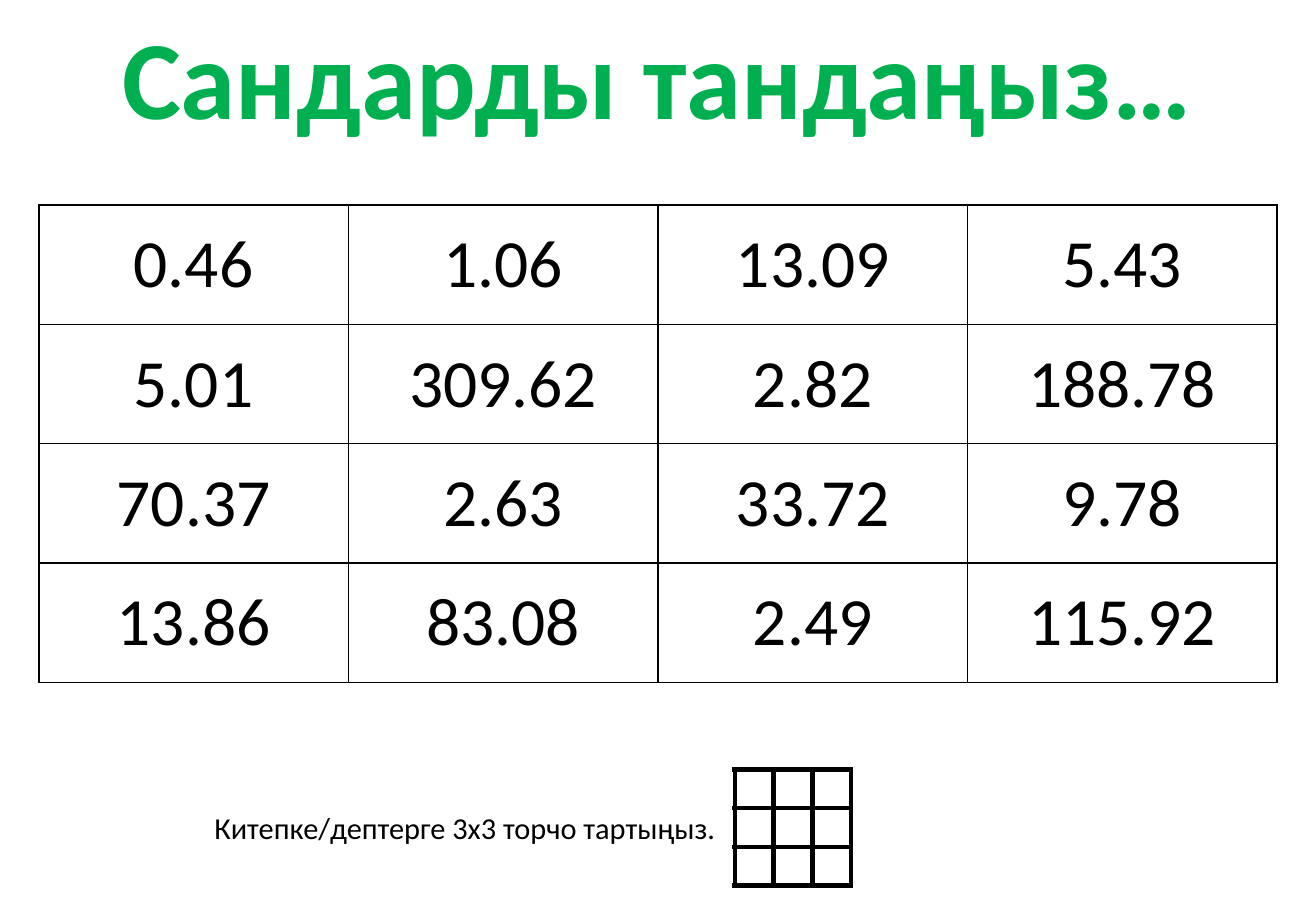
from lxml import etree
from pptx import Presentation
from pptx import util as u
from pptx.dml.color import RGBColor
from pptx.enum import text
from pptx.oxml import ns

FONT = "Calibri"
BLACK = RGBColor(0x00, 0x00, 0x00)
WHITE = RGBColor(0xFF, 0xFF, 0xFF)
GREEN = RGBColor(0x00, 0xB0, 0x50)

NUMBERS = [
    ["0.46", "1.06", "13.09", "5.43"],
    ["5.01", "309.62", "2.82", "188.78"],
    ["70.37", "2.63", "33.72", "9.78"],
    ["13.86", "83.08", "2.49", "115.92"],
]
EMPTY_GRID = [[""] * 3 for _ in range(3)]


def make_line(tag, width):
    line = etree.Element(ns.qn(tag), w=str(u.Pt(width)))
    fill = etree.SubElement(line, ns.qn("a:solidFill"))
    etree.SubElement(fill, ns.qn("a:srgbClr"), val=str(BLACK))
    return line


def style_paragraph(para, size, color, align, bold=False):
    para.alignment = align
    para.font.name = FONT
    para.font.size = u.Pt(size)
    para.font.bold = bold
    para.font.color.rgb = color


def add_grid(page, box, values, size, border):
    left, top, width, height = box
    rows, columns = len(values), len(values[0])
    frame = page.shapes.add_table(rows, columns, *map(u.Pt, box))
    table = frame.table
    table.first_row = table.horz_banding = False
    for column in table.columns:
        column.width = u.Pt(width / columns)
    for row, row_values in zip(table.rows, values):
        row.height = u.Pt(height / rows)
        for cell, value in zip(row.cells, row_values):
            cell.margin_left = cell.margin_right = 0
            cell.margin_top = cell.margin_bottom = 0
            cell.vertical_anchor = text.MSO_ANCHOR.MIDDLE
            cell.fill.solid()
            cell.fill.fore_color.rgb = WHITE
            properties = cell._tc.get_or_add_tcPr()
            for index, tag in enumerate(("a:lnL", "a:lnR", "a:lnT", "a:lnB")):
                properties.insert(index, make_line(tag, border))
            cell.text = value
            style_paragraph(cell.text_frame.paragraphs[0], size, BLACK, text.PP_ALIGN.CENTER)


def add_label(page, box, words, size, color, align, bold=False):
    frame = page.shapes.add_textbox(*map(u.Pt, box)).text_frame
    frame.word_wrap = False
    frame.auto_size = text.MSO_AUTO_SIZE.SHAPE_TO_FIT_TEXT
    para = frame.paragraphs[0]
    span = para.add_run()
    span.text = words
    style_paragraph(para, size, color, align, bold)
    return span


def add_title(page, box):
    span = add_label(page, box, "Сандарды тандаңыз…", 66, GREEN, text.PP_ALIGN.CENTER, True)
    span.font._element.insert(0, make_line("a:ln", 0.75))


def add_instruction(page, box):
    left, top, width, height = box
    grid_side = 69
    label_width, label_height = width - grid_side, 29
    label_top = top + (height - label_height) / 2
    add_label(page, (left, label_top, label_width, label_height),
              "Китепке/дептерге 3х3 торчо тартыңыз.", 18, BLACK, text.PP_ALIGN.LEFT)
    add_grid(page, (left + label_width, top, grid_side, grid_side), EMPTY_GRID, 12, 3)


def main():
    deck = Presentation()
    deck.slide_width, deck.slide_height = u.Pt(780), u.Pt(540)
    page = deck.slides.add_slide(deck.slide_layouts[6])
    add_grid(page, (23, 121.5, 734, 283), NUMBERS, 40, 1)
    add_title(page, (57, 1.5, 665, 87))
    add_instruction(page, (120, 456, 384.5, 69))
    deck.save("out.pptx")


if __name__ == "__main__":
    main()
